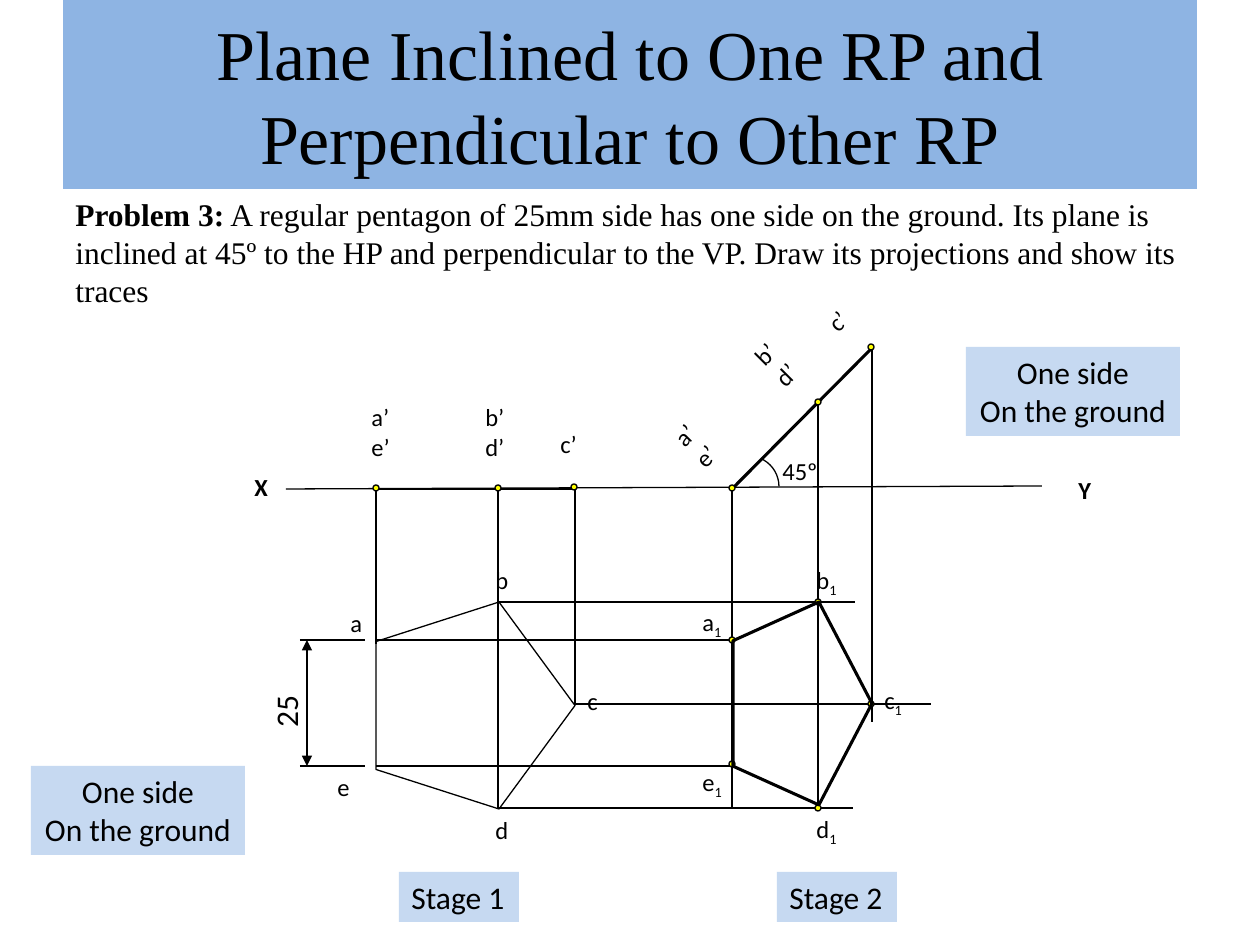
from lxml.etree import SubElement
from pptx import Presentation
from pptx.dml.color import RGBColor
from pptx.enum.shapes import MSO_CONNECTOR, MSO_SHAPE
from pptx.enum.text import MSO_ANCHOR, MSO_AUTO_SIZE, PP_ALIGN
from pptx.oxml.ns import qn
from pptx.util import Emu, Pt

INK = {"text": "000000", "title": "8EB4E3", "note": "C6D9F1", "dot": "FFFF00"}
SERIF, SANS = "Times New Roman", "Calibri"
THIN, BOLD = 0.75, 1.75
DOT = 6
UNIT = 914400 / 126

TITLE = "Plane Inclined to One RP and Perpendicular to Other RP"
TASK = (
    "Problem 3:",
    " A regular pentagon of 25mm side has one side on the ground. Its plane is "
    "inclined at 45º to the HP and perpendicular to the VP. Draw its projections "
    "and show its traces",
)

UPRIGHT = [
    (376, 487, 644), (498, 489, 809), (575, 489, 704),
    (732, 489, 809), (818, 402, 809), (872, 349, 722),
]
LEVEL = [
    (489, 376, 575), (640, 300, 365), (766, 300, 365), (640, 376, 732),
    (766, 376, 732), (602, 499, 855), (808, 498, 853), (704, 575, 931),
]
GROUND = (286, 489, 1042, 486)
EDGE = (732, 489, 872, 348)
SIZE = (307, 640, 307, 766)

DOTS = [
    (376, 488), (498, 488), (574, 487), (732, 488), (818, 402), (871, 347),
    (732, 640), (818, 602), (871, 704), (818, 808), (732, 764),
]
PLANES = [((372, 606, 207, 199), THIN), ((701, 634, 203, 139), BOLD)]

AXIS = [("X", 242, 466, 58, 42), ("Y", 1066, 469, 38, 42)]
NAMES = [
    ("a", 338, 602, 52, 42), ("b", 483, 559, 52, 42), ("c", 575, 680, 52, 42),
    ("d", 483, 809, 52, 42), ("e", 325, 766, 52, 42),
    ("a’e’", 359, 396, 53, 72), ("b’d’", 473, 396, 53, 72), ("c’", 548, 423, 53, 42),
    ("45º", 770, 450, 69, 42),
]
TILTED = [("a’e’", 672, 406, 53, 72), ("b’d’", 752, 325, 53, 72), ("c’", 815, 296, 53, 42)]
INDEXED = [
    ("a", 690, 601, 53, 42), ("b", 804, 559, 53, 42), ("c", 872, 679, 53, 42),
    ("d", 804, 808, 53, 42), ("e", 690, 761, 53, 42),
]
SIDE = ["One side", "On the ground"]
NOTES = [
    (["Stage 1"], 399, 872, 120, 50, PP_ALIGN.LEFT),
    (["Stage 2"], 777, 872, 120, 50, PP_ALIGN.LEFT),
    (SIDE, 31, 766, 214, 89, PP_ALIGN.CENTER),
    (SIDE, 966, 347, 214, 89, PP_ALIGN.CENTER),
]


def px(*vals):
    return [Emu(round(v * UNIT)) for v in vals]


def rgb(name):
    return RGBColor.from_string(INK[name])


def paint(shape, name):
    shape.fill.solid()
    shape.fill.fore_color.rgb = rgb(name)


def style(para, size, face=SANS, bold=None):
    font = para.font
    font.size, font.name, font.bold = Pt(size), face, bold
    font.color.rgb = rgb("text")


def stroke(line, width):
    line.color.rgb = rgb("text")
    line.width = Pt(width)


def rule(slide, ends, width=THIN, arrows=False):
    wire = slide.shapes.add_connector(MSO_CONNECTOR.STRAIGHT, *px(*ends))
    stroke(wire.line, width)
    if arrows:
        ln = wire.line._get_or_add_ln()
        for tag in ("a:headEnd", "a:tailEnd"):
            SubElement(ln, qn(tag), type="triangle")
    SubElement(wire._element.spPr, qn("a:effectLst"))


def draw(slide, kind, box, width=THIN, fill=None):
    shape = slide.shapes.add_shape(kind, *px(*box))
    shape.shadow.inherit = False
    stroke(shape.line, width)
    if fill:
        paint(shape, fill)
    else:
        shape.fill.background()
    return shape


def label(slide, text, *box, size=14, bold=None, turn=0, index=None):
    area = slide.shapes.add_textbox(*px(*box))
    area.rotation = turn
    area.text_frame.word_wrap = True
    para = area.text_frame.paragraphs[0]
    para.add_run().text = text
    if index:
        run = para.add_run()
        run.text = index
        run._r.get_or_add_rPr().set("baseline", "-25000")
    style(para, size, bold=bold)


def note(slide, lines, *box, align):
    area = slide.shapes.add_textbox(*px(*box))
    paint(area, "note")
    area.text_frame.word_wrap = False
    area.text_frame.text = "\n".join(lines)
    for para in area.text_frame.paragraphs:
        para.alignment = align
        style(para, 18)


def head(slide):
    title = slide.shapes.title
    title.left, title.top, title.width, title.height = px(63, 0, 1134, 189)
    paint(title, "title")
    frame = title.text_frame
    frame.text = TITLE
    frame.auto_size = MSO_AUTO_SIZE.NONE
    frame.vertical_anchor = MSO_ANCHOR.MIDDLE
    frame.paragraphs[0].alignment = PP_ALIGN.CENTER
    style(frame.paragraphs[0], 40, SERIF)

    task = slide.shapes.add_textbox(*px(63, 189, 1134, 127))
    task.text_frame.word_wrap = True
    para = task.text_frame.paragraphs[0]
    for part in TASK:
        para.add_run().text = part
    para.runs[0].font.bold = True
    style(para, 18, SERIF)


def figure(slide):
    rule(slide, GROUND)
    for x, top, end in UPRIGHT:
        rule(slide, (x, top, x, end))
    for y, left, end in LEVEL:
        rule(slide, (left, y, end, y))
    rule(slide, SIZE, arrows=True)
    rule(slide, EDGE, BOLD)
    for x, y in DOTS:
        draw(slide, MSO_SHAPE.OVAL, (x - DOT / 2, y - DOT / 2, DOT, DOT), fill="dot")
    for box, width in PLANES:
        draw(slide, MSO_SHAPE.REGULAR_PENTAGON, box, width).rotation = 90
    arc = draw(slide, MSO_SHAPE.ARC, (718, 456, 61, 61))
    arc.adjustments[0] = 297 * 0.6
    arc.adjustments[1] = 0


def words(slide):
    for item in AXIS:
        label(slide, *item, bold=True)
    for item in NAMES:
        label(slide, *item)
    for item in TILTED:
        label(slide, *item, turn=315)
    for item in INDEXED:
        label(slide, *item, index="1")
    label(slide, "25", 249, 678, 73, 50, size=18, turn=270)
    for *item, align in NOTES:
        note(slide, *item, align=align)


def main():
    deck = Presentation()
    deck.slide_width, deck.slide_height = px(1260, 945)
    slide = deck.slides.add_slide(deck.slide_layouts[5])
    head(slide)
    figure(slide)
    words(slide)
    deck.save("out.pptx")


if __name__ == "__main__":
    main()
